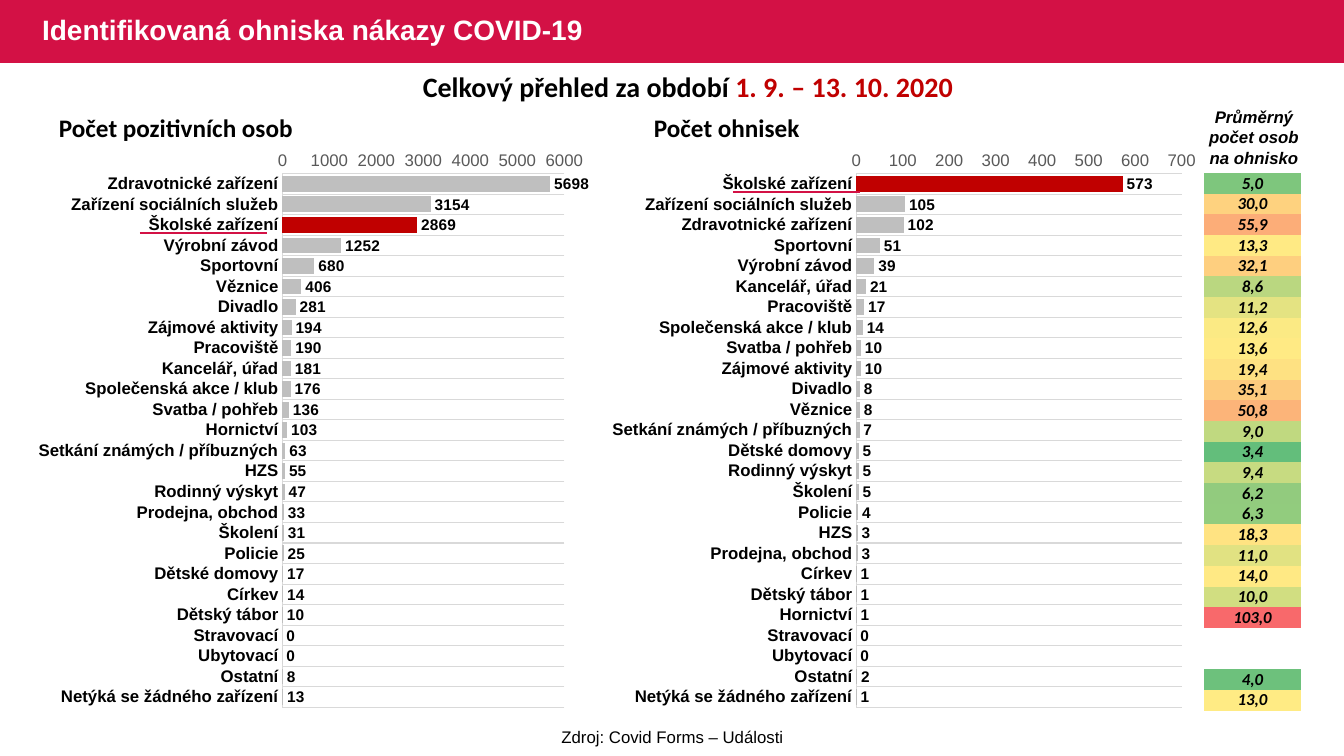
import math

import lxml.etree
import pptx
import pptx.chart.data
import pptx.dml.color
import pptx.enum.chart
import pptx.enum.shapes
import pptx.enum.text
import pptx.oxml.ns
import pptx.util

RGBColor = pptx.dml.color.RGBColor
ALIGN = pptx.enum.text.PP_ALIGN
MIDDLE = pptx.enum.text.MSO_ANCHOR.MIDDLE
qn = pptx.oxml.ns.qn

SLIDE_WIDTH, SLIDE_HEIGHT = 1344, 756
EMU_PER_PX = 12192000 / SLIDE_WIDTH

CRIMSON = RGBColor(0xD3, 0x11, 0x45)
RED = RGBColor(0xC0, 0x00, 0x00)
BLACK = RGBColor(0x00, 0x00, 0x00)
WHITE = RGBColor(0xFF, 0xFF, 0xFF)
BAR_GREY = RGBColor(0xBF, 0xBF, 0xBF)
GRID_GREY = RGBColor(0xD9, 0xD9, 0xD9)
AXIS_GREY = RGBColor(0x59, 0x59, 0x59)
SCALE_LOW = RGBColor(0x63, 0xBE, 0x7B)
SCALE_MIDDLE = RGBColor(0xFF, 0xEB, 0x84)
SCALE_HIGH = RGBColor(0xF8, 0x69, 0x6B)

NO_TABLE_STYLE = "{2D5ABB26-0587-4C30-8999-92F81FD0307C}"
HIGHLIGHT = "Školské zařízení"

PERSONS = {
    "Zdravotnické zařízení": 5698, "Zařízení sociálních služeb": 3154,
    "Školské zařízení": 2869, "Výrobní závod": 1252, "Sportovní": 680,
    "Věznice": 406, "Divadlo": 281, "Zájmové aktivity": 194,
    "Pracoviště": 190, "Kancelář, úřad": 181, "Společenská akce / klub": 176,
    "Svatba / pohřeb": 136, "Hornictví": 103,
    "Setkání známých / příbuzných": 63, "HZS": 55, "Rodinný výskyt": 47,
    "Prodejna, obchod": 33, "Školení": 31, "Policie": 25,
    "Dětské domovy": 17, "Církev": 14, "Dětský tábor": 10, "Stravovací": 0,
    "Ubytovací": 0, "Ostatní": 8, "Netýká se žádného zařízení": 13,
}
OUTBREAKS = {
    "Školské zařízení": 573, "Zařízení sociálních služeb": 105,
    "Zdravotnické zařízení": 102, "Sportovní": 51, "Výrobní závod": 39,
    "Kancelář, úřad": 21, "Pracoviště": 17, "Společenská akce / klub": 14,
    "Svatba / pohřeb": 10, "Zájmové aktivity": 10, "Divadlo": 8,
    "Věznice": 8, "Setkání známých / příbuzných": 7, "Dětské domovy": 5,
    "Rodinný výskyt": 5, "Školení": 5, "Policie": 4, "HZS": 3,
    "Prodejna, obchod": 3, "Církev": 1, "Dětský tábor": 1, "Hornictví": 1,
    "Stravovací": 0, "Ubytovací": 0, "Ostatní": 2,
    "Netýká se žádného zařízení": 1,
}


def px(*lengths):
    return [pptx.util.Emu(round(length * EMU_PER_PX)) for length in lengths]


def set_font(font, size, color=BLACK, name="Arial", bold=False, italic=False):
    font.name, font.size = name, pptx.util.Pt(size)
    font.bold, font.italic = bold, italic
    font.color.rgb = color


def write_text(paragraph, text, align=ALIGN.LEFT, **font_format):
    paragraph.alignment = align
    run = paragraph.add_run()
    run.text = text
    set_font(run.font, **font_format)


def add_label(slide, box, text, **text_format):
    shape = slide.shapes.add_textbox(*px(*box))
    frame = shape.text_frame
    frame.word_wrap = True
    frame.auto_size = pptx.enum.text.MSO_AUTO_SIZE.SHAPE_TO_FIT_TEXT
    write_text(frame.paragraphs[0], text, **text_format)
    return frame.paragraphs[0]


def add_title(slide, text):
    band = slide.shapes.add_shape(pptx.enum.shapes.MSO_SHAPE.RECTANGLE,
                                  *px(0, 0, SLIDE_WIDTH, 63))
    band.shadow.inherit = False
    band.fill.solid()
    band.fill.fore_color.rgb = CRIMSON
    band.line.fill.background()
    slide.shapes._spTree.insert(2, band._element)  # behind the title

    title = slide.shapes.title
    title.left, title.top, title.width, title.height = px(32, 0, 859, 63)
    title.text_frame.vertical_anchor = MIDDLE
    title.text_frame.word_wrap = True
    paragraph = title.text_frame.paragraphs[0]
    paragraph.line_spacing = 0.9
    write_text(paragraph, text, size=20, color=WHITE, bold=True)


def add_underline(slide, left, right, y):
    line = slide.shapes.add_connector(pptx.enum.shapes.MSO_CONNECTOR.STRAIGHT,
                                      *px(left, y, right, y))
    line.line.color.rgb = CRIMSON
    line.line.width = pptx.util.Pt(1)
    lxml.etree.SubElement(line._element.spPr, qn("a:effectLst"))


def set_plot_layout(chart, x, y, w, h):
    plot_area = chart._chartSpace.chart.plotArea
    for old_layout in plot_area.findall(qn("c:layout")):
        plot_area.remove(old_layout)
    layout = lxml.etree.Element(qn("c:layout"))
    manual = lxml.etree.SubElement(layout, qn("c:manualLayout"))
    settings = dict(layoutTarget="inner", xMode="edge", yMode="edge",
                    x=x, y=y, w=w, h=h)
    for tag, value in settings.items():
        lxml.etree.SubElement(manual, qn(f"c:{tag}"), val=str(value))
    plot_area.insert(0, layout)


def add_bar_chart(slide, left, name, counts, maximum, step, plot_x, plot_width):
    data = pptx.chart.data.CategoryChartData()
    data.categories = list(counts)
    data.add_series(name, list(counts.values()))
    chart = slide.shapes.add_chart(
        pptx.enum.chart.XL_CHART_TYPE.BAR_CLUSTERED,
        *px(left, 137, 596, 582), data).chart
    chart.has_legend = chart.has_title = False
    set_font(chart.font, 10)
    set_plot_layout(chart, plot_x, 0.063, plot_width, 0.917)

    # Axes
    category_axis, value_axis = chart.category_axis, chart.value_axis
    for axis in (category_axis, value_axis):
        axis.major_tick_mark = pptx.enum.chart.XL_TICK_MARK.NONE
        axis.minor_tick_mark = pptx.enum.chart.XL_TICK_MARK.NONE
    category_axis.reverse_order = True
    category_axis.has_major_gridlines = True
    set_font(category_axis.tick_labels.font, 12, bold=True)
    for line in (category_axis.format.line,
                 category_axis.major_gridlines.format.line):
        line.color.rgb = GRID_GREY
        line.width = pptx.util.Pt(0.75)
    value_axis.has_major_gridlines = False
    value_axis.minimum_scale, value_axis.maximum_scale = 0, maximum
    value_axis.major_unit = step
    value_axis.format.line.fill.background()
    set_font(value_axis.tick_labels.font, 12, AXIS_GREY)

    # Bars and their values
    plot = chart.plots[0]
    plot.gap_width, plot.overlap, plot.vary_by_categories = 30, 100, False
    series = plot.series[0]
    point = series.points[list(counts).index(HIGHLIGHT)]
    for part, color in ((series, BAR_GREY), (point, RED)):
        part.format.fill.solid()
        part.format.fill.fore_color.rgb = color
    labels = series.data_labels
    labels.show_value = True
    labels.position = pptx.enum.chart.XL_LABEL_POSITION.OUTSIDE_END
    set_font(labels.font, 11, bold=True)


def scale_color(value, low, middle, high):
    if value <= middle:
        start, end, share = SCALE_LOW, SCALE_MIDDLE, (value - low) / (middle - low)
    else:
        start, end, share = SCALE_MIDDLE, SCALE_HIGH, (value - middle) / (high - middle)
    return RGBColor(*(round(a + (b - a) * share) for a, b in zip(start, end)))


def add_average_table(slide, box):
    averages = [PERSONS[name] / count if count else None
                for name, count in OUTBREAKS.items()]
    known = sorted(value for value in averages if value is not None)
    half = len(known) // 2
    median = (known[half - 1] + known[half]) / 2

    table = slide.shapes.add_table(len(averages), 1, *px(*box)).table
    table.first_row = table.horz_banding = False
    table._tbl.tblPr.find(qn("a:tableStyleId")).text = NO_TABLE_STYLE
    for row, average in enumerate(averages):
        table.rows[row].height = px(box[3] / len(averages))[0]
        cell = table.cell(row, 0)
        cell.margin_left = cell.margin_right = px(1)[0]
        cell.margin_top = cell.margin_bottom = 0
        cell.vertical_anchor = MIDDLE
        paragraph = cell.text_frame.paragraphs[0]
        if average is None:
            cell.fill.background()
            lxml.etree.SubElement(paragraph._p, qn("a:endParaRPr"), sz="1200")
            continue
        cell.fill.solid()
        cell.fill.fore_color.rgb = scale_color(average, known[0], median, known[-1])
        rounded = math.floor(average * 10 + 0.5) / 10
        write_text(paragraph, f"{rounded:.1f}".replace(".", ","),
                   align=ALIGN.CENTER, size=12, name="Calibri",
                   bold=True, italic=True)


def main():
    presentation = pptx.Presentation()
    presentation.slide_width, presentation.slide_height = px(SLIDE_WIDTH, SLIDE_HEIGHT)
    slide = presentation.slides.add_slide(presentation.slide_layouts[5])
    add_title(slide, "Identifikovaná ohniska nákazy COVID-19")

    # Period
    heading = dict(name="Calibri", bold=True)
    period = add_label(slide, (345, 65, 686, 44), "Celkový přehled za období ",
                       align=ALIGN.CENTER, size=20, **heading)
    write_text(period, "1. 9. – 13. 10. 2020", align=ALIGN.CENTER,
               size=20, color=RED, **heading)

    # Charts with headings and underlined category
    persons, outbreaks = "Počet pozitivních osob", "Počet ohnisek"
    add_bar_chart(slide, 0, persons, PERSONS, 6000, 1000, 0.474, 0.473)
    add_bar_chart(slide, 609, outbreaks, OUTBREAKS, 700, 100, 0.415, 0.546)
    add_label(slide, (49, 107, 391, 40), persons, size=18, **heading)
    add_label(slide, (644, 107, 391, 40), outbreaks, size=18, **heading)
    add_underline(slide, 140, 267, 233)
    add_underline(slide, 733, 860, 192)

    # Average persons per outbreak
    add_label(slide, (1196, 102, 116, 72), "Průměrný počet osob na ohnisko",
              align=ALIGN.CENTER, size=12, bold=True, italic=True)
    add_average_table(slide, (1204, 173, 97, 538))

    # Source
    add_label(slide, (477, 722, 391, 30), "Zdroj: Covid Forms – Události",
              align=ALIGN.CENTER, size=12)
    presentation.save("out.pptx")


if __name__ == "__main__":
    main()
